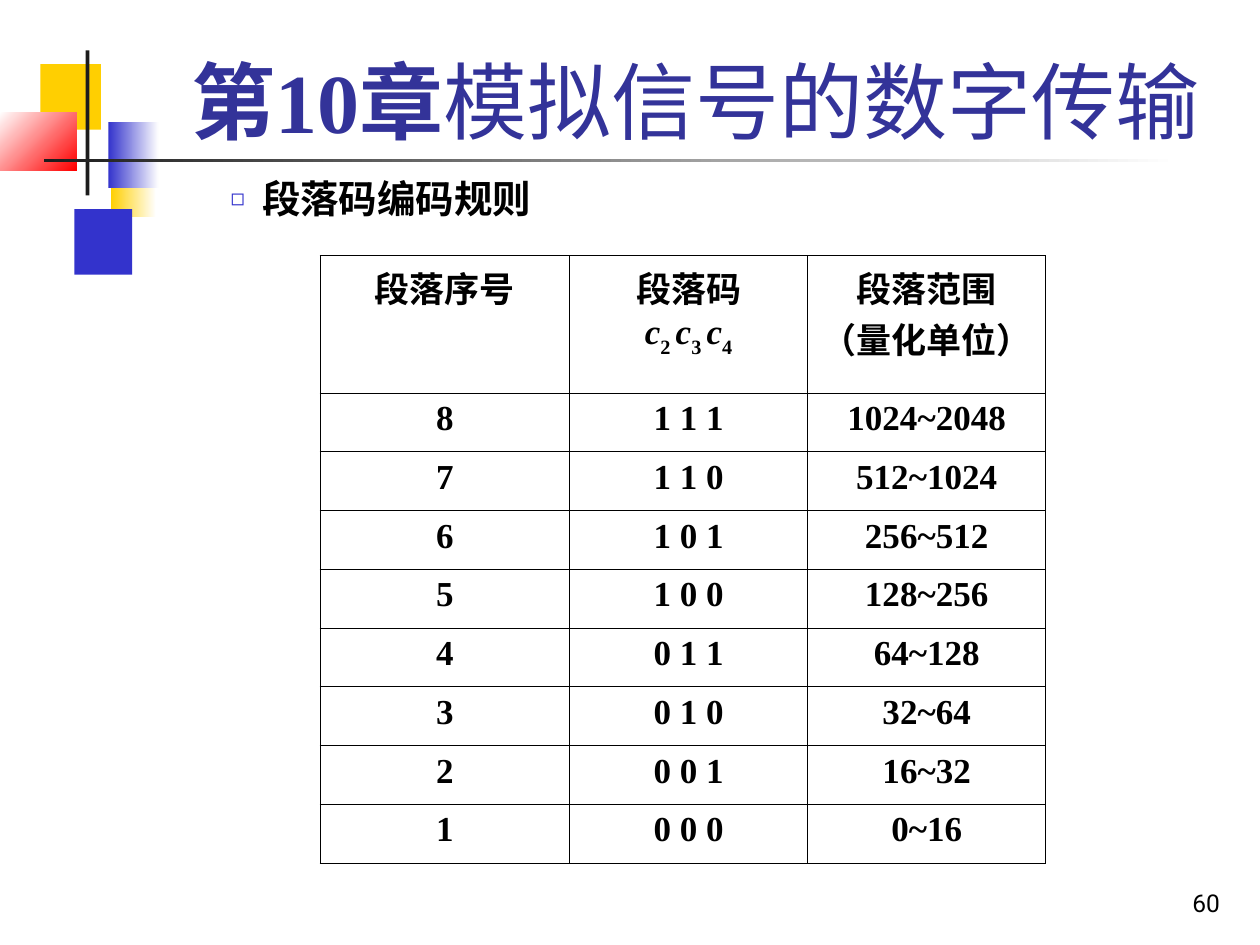
from pptx import Presentation
from pptx.dml.color import RGBColor
from pptx.enum.shapes import MSO_SHAPE
from pptx.enum.text import MSO_ANCHOR, MSO_AUTO_SIZE, PP_ALIGN
from pptx.oxml import parse_xml
from pptx.oxml.ns import nsdecls
from pptx.util import Inches, Pt

BLACK = RGBColor(0x00, 0x00, 0x00)
WHITE = RGBColor(0xFF, 0xFF, 0xFF)
CHARCOAL = RGBColor(0x1C, 0x1C, 0x1C)
YELLOW = RGBColor(0xFF, 0xCF, 0x01)
RED = RGBColor(0xFF, 0x00, 0x00)
BLUE = RGBColor(0x33, 0x33, 0xCC)
NAVY = RGBColor(0x33, 0x33, 0x99)
SERIF = "Times New Roman"

# Content
TITLE_RUNS = [("第10章", True), ("模拟信号的数字传输", False)]
BULLET = "段落码编码规则"
PAGE_NUMBER = "60"
CODE_SYMBOLS = [("c", "2 "), ("c", "3 "), ("c", "4")]
HEADERS = [["段落序号"], ["段落码", CODE_SYMBOLS], ["段落范围", "（量化单位）"]]
RANGES = ["0~16", "16~32", "32~64", "64~128",
          "128~256", "256~512", "512~1024", "1024~2048"]

# Corner ornament: left, top, width, height, colours, gradient angle
ORNAMENTS = [
    (0.88, 1.20, 0.36, 0.52, (YELLOW, WHITE), 0),
    (0.59, 1.66, 0.46, 0.52, (BLUE,), 0),
    (0.32, 0.51, 0.48, 0.52, (YELLOW,), 0),
    (0.86, 0.97, 0.40, 0.52, (BLUE, WHITE), 0),
    (0.00, 0.89, 0.61, 0.46, (WHITE, RED), 315),
    (0.68, 0.40, 0.03, 1.15, (CHARCOAL,), 0),
    (0.35, 1.26, 9.00, 0.03, (CHARCOAL, WHITE), 0),
]

# Table grid
TABLE_BOX = (2.54, 2.03, 5.76, 4.82)
COLUMN_WIDTHS = (1.98, 1.89, 1.89)
HEADER_HEIGHT = 1.09


def place(shape, left, top, width, height):
    shape.left, shape.top = Inches(left), Inches(top)
    shape.width, shape.height = Inches(width), Inches(height)


def set_font(paragraph, size, color, name=SERIF, bold=None):
    font = paragraph.font
    font.name, font.size, font.bold = name, Pt(size), bold
    font.color.rgb = color


def add_ornament(slide, left, top, width, height, colors, angle):
    shape = slide.shapes.add_shape(
        MSO_SHAPE.RECTANGLE, *map(Inches, (left, top, width, height)))
    shape.shadow.inherit = False
    shape.line.fill.background()
    if len(colors) == 1:
        shape.fill.solid()
        shape.fill.fore_color.rgb = colors[0]
    else:
        shape.fill.gradient()
        shape.fill.gradient_angle = angle
        for stop, color in zip(shape.fill.gradient_stops, colors):
            stop.color.rgb = color


def add_title(title):
    place(title, 1.26, 0.23, 8.52, 1.01)
    frame = title.text_frame
    frame.auto_size = MSO_AUTO_SIZE.NONE
    frame.vertical_anchor = MSO_ANCHOR.BOTTOM
    paragraph = frame.paragraphs[0]
    paragraph.alignment = PP_ALIGN.CENTER
    set_font(paragraph, 48, NAVY)
    for text, bold in TITLE_RUNS:
        run = paragraph.add_run()
        run.text, run.font.bold = text, bold


def add_bullet(body):
    place(body, 0.23, 1.34, 9.77, 6.16)
    body.text_frame.auto_size = MSO_AUTO_SIZE.NONE
    paragraph = body.text_frame.paragraphs[0]
    paragraph.text = BULLET
    paragraph.level = 3
    paragraph.space_before = Pt(0)
    properties = paragraph._p.get_or_add_pPr()
    properties.set("marL", str(Inches(1.75)))
    properties.set("indent", str(Inches(-0.25)))
    for xml in (f'<a:buClr {nsdecls("a")}><a:srgbClr val="{BLUE}"/></a:buClr>',
                f'<a:buSzPct {nsdecls("a")} val="60000"/>',
                f'<a:buChar {nsdecls("a")} char="◻"/>'):
        properties.append(parse_xml(xml))
    set_font(paragraph, 22, BLACK, bold=True)


def set_borders(cell):
    properties = cell._tc.get_or_add_tcPr()
    for index, side in enumerate(("lnL", "lnR", "lnT", "lnB")):
        properties.insert(index, parse_xml(
            f'<a:{side} {nsdecls("a")} w="{Pt(0.45)}"><a:solidFill>'
            f'<a:srgbClr val="{BLACK}"/></a:solidFill></a:{side}>'))


def fill_cell(cell, lines):
    cell.fill.background()
    set_borders(cell)
    frame = cell.text_frame
    for index, line in enumerate(lines):
        paragraph = frame.add_paragraph() if index else frame.paragraphs[0]
        paragraph.alignment = PP_ALIGN.CENTER
        set_font(paragraph, 20, BLACK, bold=True)
        if isinstance(line, str):
            paragraph.add_run().text = line
            continue
        for letter, subscript in line:
            run = paragraph.add_run()
            run.text, run.font.italic = letter, True
            run = paragraph.add_run()
            run.text = subscript
            run.font._element.set("baseline", "-30000")


def add_code_table(slide):
    rows = [HEADERS]
    for number in range(len(RANGES), 0, -1):
        code = " ".join(f"{number - 1:03b}")
        rows.append([[str(number)], [code], [RANGES[number - 1]]])
    table = slide.shapes.add_table(
        len(rows), len(HEADERS), *map(Inches, TABLE_BOX)).table
    table.first_row = table.horz_banding = False
    for column, width in zip(table.columns, COLUMN_WIDTHS):
        column.width = Inches(width)
    row_height = (TABLE_BOX[3] - HEADER_HEIGHT) / len(RANGES)
    for index, cells in enumerate(rows):
        table.rows[index].height = Inches(row_height if index else HEADER_HEIGHT)
        for cell, lines in zip(table.rows[index].cells, cells):
            fill_cell(cell, lines)


def add_page_number(slide):
    box = slide.shapes.add_textbox(*map(Inches, (7.7, 6.83, 2.08, 0.5)))
    frame = box.text_frame
    frame.word_wrap = True
    frame.vertical_anchor = MSO_ANCHOR.BOTTOM
    paragraph = frame.paragraphs[0]
    paragraph.text = PAGE_NUMBER
    paragraph.alignment = PP_ALIGN.RIGHT
    set_font(paragraph, 14, BLACK, name="Roboto")


def main():
    presentation = Presentation()
    presentation.slide_width, presentation.slide_height = Inches(10), Inches(7.5)
    slide = presentation.slides.add_slide(presentation.slide_layouts[1])
    title, body = slide.placeholders
    for ornament in ORNAMENTS:
        add_ornament(slide, *ornament)
    add_page_number(slide)
    # Bring the placeholders in front of the ornament
    for placeholder in (title, body):
        placeholder.element.getparent().append(placeholder.element)
    add_title(title)
    add_bullet(body)
    add_code_table(slide)
    presentation.save("out.pptx")


if __name__ == "__main__":
    main()
